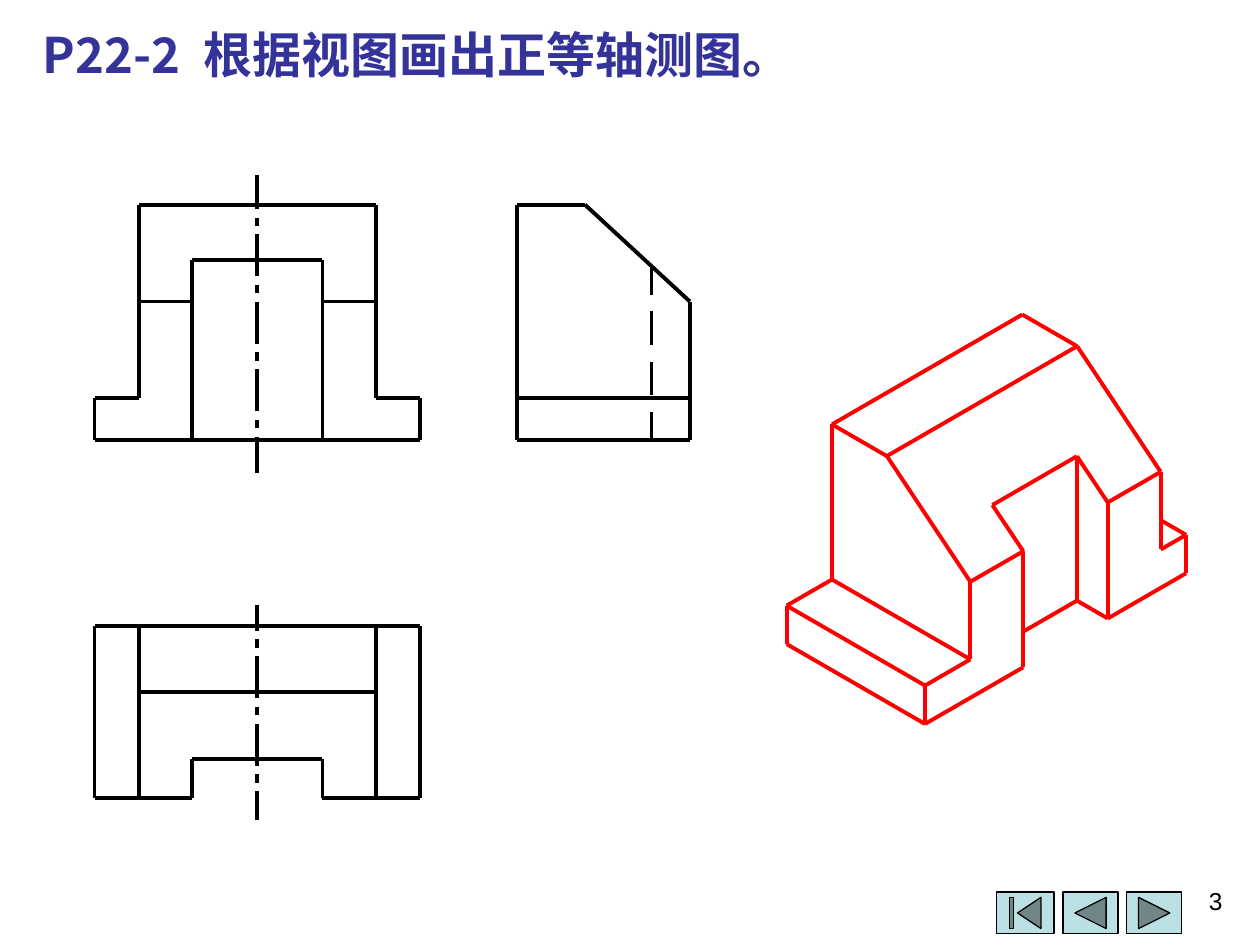
import pptx
import pptx.util
import pptx.dml.color
import pptx.enum.shapes
import pptx.enum.text
from itertools import cycle, pairwise
from lxml import etree

Pt = pptx.util.Pt
Kind = pptx.enum.shapes.MSO_SHAPE
Text = pptx.enum.text
NS = "{http://schemas.openxmlformats.org/drawingml/2006/main}"

TITLE = "P22-2\t根据视图画出正等轴测图。"
PAGE = "3"
FACE = "Noto Sans CJK SC"
BLACK, RED, NAVY, TEAL = "000000", "FF0000", "333399", "BBE0E3"

MID = 147
FRONT = [
    [(0, 251.4), (93, 251.4), (93, 227.7), (67.8, 227.7), (67.8, 117), (0, 117)],
    [(37.3, 251.4), (37.3, 148.6), (0, 148.6)],
    [(67.8, 172.3), (37.3, 172.3)],
]
PLAN = [
    [(0, 357.7), (93, 357.7), (93, 456), (37.3, 456), (37.3, 433.8), (0, 433.8)],
    [(67.8, 357.7), (67.8, 456)],
    [(67.8, 395.7), (0, 395.7)],
]
SIDE = [
    [(295.4, 251.4), (394.2, 251.4), (394.2, 172.3), (334.3, 117),
     (295.4, 117), (295.4, 251.4)],
    [(295.4, 227.7), (394.2, 227.7)],
]

CHAIN, HIDDEN = (24, 4.8, 4.9, 4.8), (19.2, 9.6)
DASHES = [
    (MID, 100, 270, 95.5, CHAIN),
    (MID, 345.6, 468.7, 336.6, CHAIN),
    (372.3, 152.6, 251.4, 149.2, HIDDEN),
]

ORIGIN = (528.6, 413.7)
WIDE, HIGH, RISE = 0.802, 0.463, 0.926
A, B, C, D, E = 32.3, 70, 130.2, 167.9, 186
NOTCH, RIDGE, BACK = 22, 59.5, 98.6
BASE, EAVE, ARCH, TOP = 23.7, 71.6, 89.1, 119.4
SOLID = [
    [(0, 0, 0), (0, BACK, 0), (0, BACK, BASE), (0, 0, BASE), (0, 0, 0),
     (B, 0, 0), (B, 0, EAVE), (A, 0, EAVE), (A, 0, BASE), (0, 0, BASE)],
    [(0, BACK, BASE), (A, BACK, BASE), (A, 0, BASE)],
    [(A, BACK, BASE), (A, BACK, TOP), (A, RIDGE, TOP), (A, 0, EAVE)],
    [(A, BACK, TOP), (D, BACK, TOP), (D, RIDGE, TOP), (A, RIDGE, TOP)],
    [(D, RIDGE, TOP), (D, 0, EAVE), (C, 0, EAVE), (C, 0, 0), (E, 0, 0),
     (E, 0, BASE), (D, 0, BASE), (D, 0, EAVE)],
    [(E, 0, BASE), (E, 18, BASE)],
    [(B, 0, EAVE), (B, NOTCH, ARCH), (C, NOTCH, ARCH), (C, 0, EAVE)],
    [(C, NOTCH, ARCH), (C, NOTCH, 0), (C, 0, 0)],
    [(C, NOTCH, 0), (B + NOTCH, NOTCH, 0)],
]

BUTTONS = [
    (Kind.ACTION_BUTTON_BEGINNING, 569.5, 32.8),
    (Kind.ACTION_BUTTON_BACK_OR_PREVIOUS, 607.4, 31.5),
    (Kind.ACTION_BUTTON_FORWARD_OR_NEXT, 643.8, 31.5),
]


def shade(code):
    return pptx.dml.color.RGBColor.from_string(code)


def chain(points, color=BLACK, width=2.25):
    for start, end in pairwise(points):
        line = slide.shapes.add_connector(
            pptx.enum.shapes.MSO_CONNECTOR.STRAIGHT, *map(Pt, start + end))
        line.line.color.rgb = shade(color)
        line.line.width = Pt(width)
        etree.SubElement(line._element.spPr, NS + "effectLst")


def dashes(x, top, end, pos, rule):
    for turn, size in enumerate(cycle(rule)):
        if pos >= end:
            break
        low, high = max(pos, top), min(pos + size, end)
        if turn % 2 == 0 and low < high:
            chain([(x, low), (x, high)], width=0)
        pos += size


def project(u, v, z):
    return (ORIGIN[0] + (u - v) * WIDE,
            ORIGIN[1] - (u + v) * HIGH - z * RISE)


def style(font, face, size, color, bold=False):
    font.name, font.size, font.bold = face, Pt(size), bold
    font.color.rgb = shade(color)


deck = pptx.Presentation()
deck.slide_width, deck.slide_height = Pt(720), Pt(540)
slide = deck.slides.add_slide(deck.slide_layouts[5])

for kind, left, width in BUTTONS:
    button = slide.shapes.add_shape(kind, Pt(left), Pt(509.8), Pt(width), Pt(23.8))
    button.shadow.inherit = False
    button.fill.solid()
    button.fill.fore_color.rgb = shade(TEAL)
    button.line.color.rgb = shade(BLACK)
    button.line.width = Pt(0.75)

title = slide.shapes.title
title.left, title.top, title.width, title.height = map(Pt, (17.3, 10.5, 671.8, 41))
frame = title.text_frame
frame.text = TITLE
frame.auto_size = Text.MSO_AUTO_SIZE.NONE
frame.vertical_anchor = Text.MSO_ANCHOR.MIDDLE
head = frame.paragraphs[0]
head.alignment = Text.PP_ALIGN.LEFT
tabs = etree.SubElement(head._p.get_or_add_pPr(), NS + "tabLst")
etree.SubElement(tabs, NS + "tab", pos=str(Pt(92)), algn="l")
style(head.font, FACE, 28, NAVY, True)
etree.SubElement(head.font._element, NS + "ea", typeface=FACE)

for dash in DASHES:
    dashes(*dash)
for path in FRONT + PLAN:
    for sign in (-1, 1):
        chain([(MID + sign * x, y) for x, y in path])
for path in SIDE:
    chain(path)
for path in SOLID:
    chain([project(*point) for point in path], RED)

box = slide.shapes.add_textbox(Pt(537.8), Pt(502.6), Pt(167.8), Pt(37.4))
box.text_frame.word_wrap = True
box.text_frame.text = PAGE
foot = box.text_frame.paragraphs[0]
foot.alignment = Text.PP_ALIGN.RIGHT
style(foot.font, "Arial", 14, BLACK)

deck.save("out.pptx")
